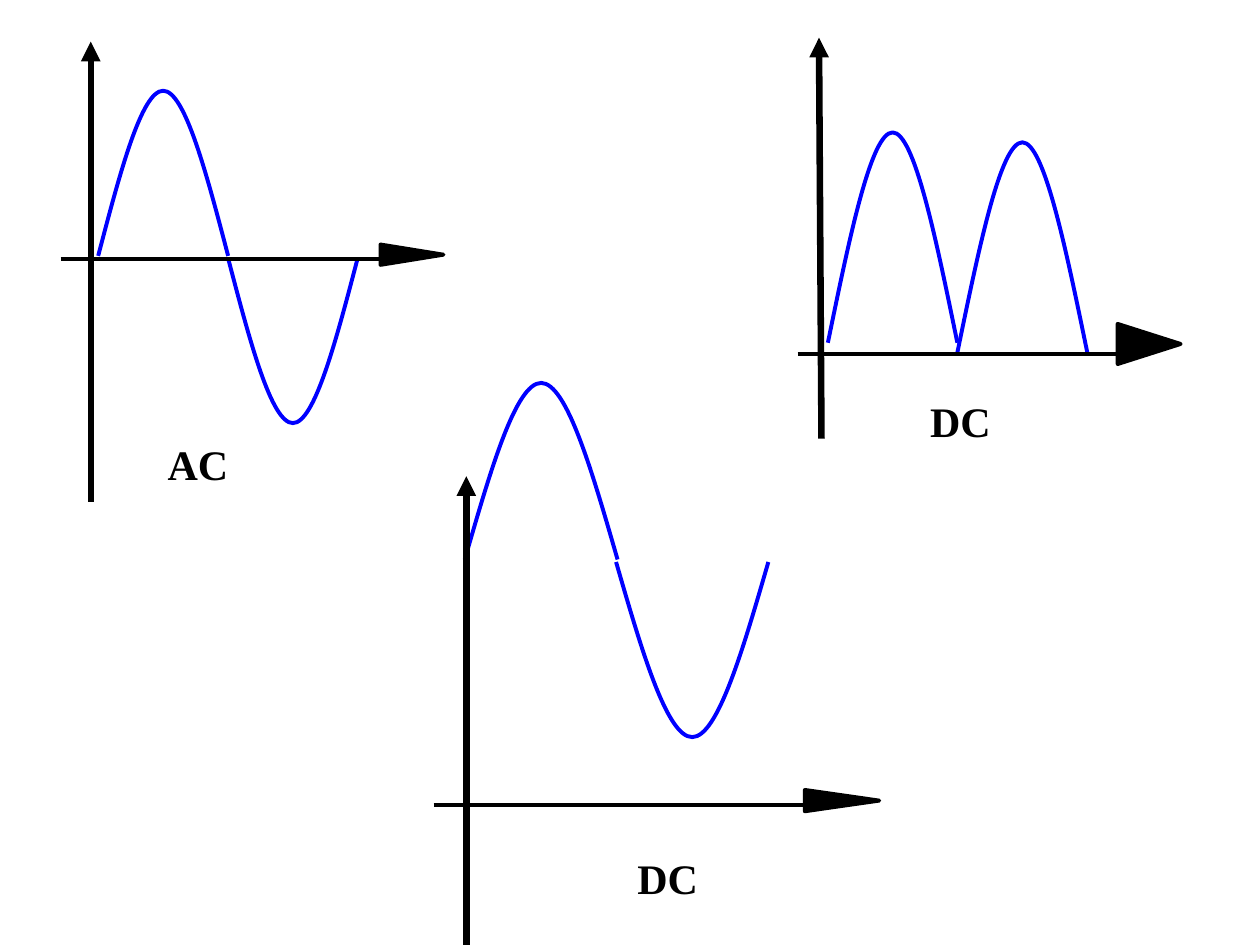
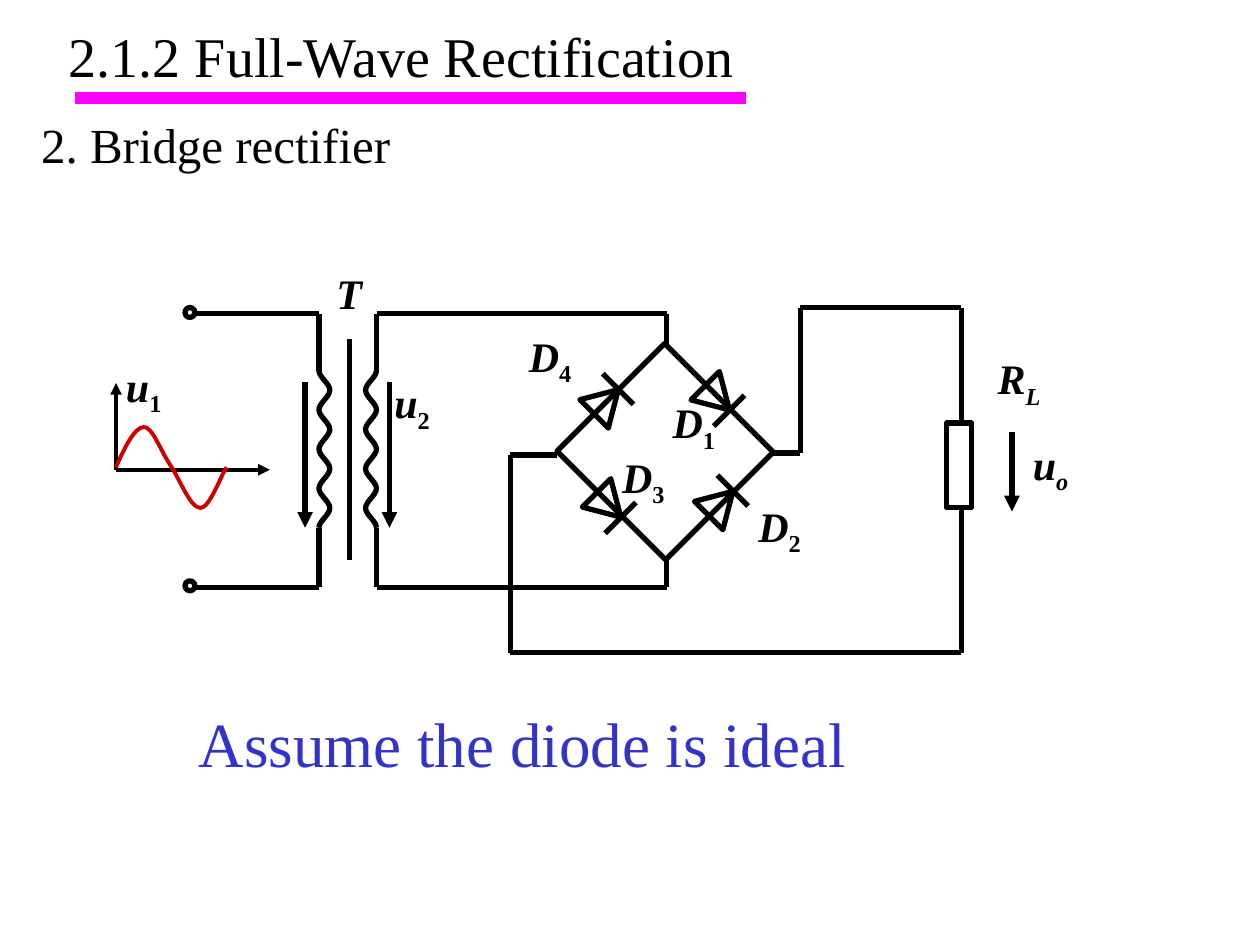
from itertools import pairwise

from lxml.etree import SubElement
from pptx import Presentation
from pptx.dml.color import RGBColor
from pptx.enum.shapes import MSO_CONNECTOR, MSO_SHAPE as SHAPE
from pptx.enum.text import MSO_ANCHOR, PP_ALIGN
from pptx.oxml.ns import qn
from pptx.util import Cm, Pt

FONT = "Times New Roman"
BLACK, BLUE, RED = "000000", "0000FF", "CC0000"
MAGENTA, VIOLET = "FF00FF", "3333CC"
rgb = RGBColor.from_string


def draw(slide, points, width, color=BLACK, arrow=False):
    """Draw a connector through two points, or a Bezier curve through more."""
    pts = [(Cm(x), Cm(y)) for x, y in points]
    if len(pts) == 2:
        sp = slide.shapes.add_connector(MSO_CONNECTOR.STRAIGHT, *pts[0], *pts[1])
        SubElement(sp._element.spPr, qn("a:effectLst"))
    else:
        builder = slide.shapes.build_freeform(*pts[0])
        builder.add_line_segments(pts[1:], close=False)
        sp = builder.convert_to_shape()
        sp.shadow.inherit = False
        sp.fill.background()
        # Every three straight segments become one cubic segment
        outline = sp._element.find(".//" + qn("a:path"))
        segments = outline.findall(qn("a:lnTo"))
        for i in range(0, len(segments), 3):
            cubic = SubElement(outline, qn("a:cubicBezTo"))
            for seg in segments[i:i + 3]:
                cubic.append(seg[0])
                outline.remove(seg)
    sp.line.width = Pt(width)
    sp.line.color.rgb = rgb(color)
    if arrow:
        SubElement(sp.line._get_or_add_ln(), qn("a:tailEnd"), type="triangle")


def label(slide, x, y, w, h, text, sub="", size=24, color=BLACK, bold=True, italic=True):
    """Add a text box with an optional subscript and return its text frame."""
    tf = slide.shapes.add_textbox(Cm(x), Cm(y), Cm(w), Cm(h)).text_frame
    tf.word_wrap = True
    p = tf.paragraphs[0]
    for part in filter(None, (text, sub)):
        r = p.add_run()
        r.text = part
        r.font.name, r.font.size = FONT, Pt(size)
        r.font.bold, r.font.italic = bold, italic
        r.font.color.rgb = rgb(color)
    if sub:
        r.font.italic = sub.isalpha()
        r.font._element.set("baseline", "-25000")
    return tf


prs = Presentation()
prs.slide_width, prs.slide_height = Cm(25.4), Cm(19.05)
waves, bridge = [prs.slides.add_slide(prs.slide_layouts[6]) for _ in range(2)]
shapes = []  # slide, preset, left, top, width, height, rotation, line width, fill

# Slide 1: AC and DC waveforms
half_waves = [  # start, end, base, peak
    (1.98, 4.6, 5.16, 1.83), (4.6, 7.21, 5.21, 8.53),
    (16.69, 19.3, 6.91, 2.67), (19.3, 21.92, 7.11, 2.87),
    (9.37, 12.45, 11.28, 7.72), (12.42, 15.49, 11.33, 14.86),
]
for start, end, base, peak in half_waves:
    half = (base + peak) / 2
    heights = [base, half, peak, peak, peak, half, base]
    step = (end - start) / 6
    draw(waves, [(start + i * step, y) for i, y in enumerate(heights)], 2.25, BLUE)

axes = [  # time axis, value axis, head of the time axis
    ([(1.22, 5.23), (7.7, 5.23)], [(1.83, 10.11), (1.83, 0.84)], (8.1, 4.5, 0.41, 1.27)),
    ([(16.08, 7.14), (22.56, 7.14)], [(16.56, 8.84), (16.51, 0.76)], (22.76, 6.3, 0.81, 1.27)),
    ([(8.74, 16.23), (16.28, 16.23)], [(9.4, 19.05), (9.4, 9.6)], (16.76, 15.39, 0.43, 1.5)),
]
for time_axis, value_axis, head in axes:
    draw(waves, time_axis, 2.25)
    draw(waves, value_axis, 3.75, arrow=True)
    shapes.append((waves, SHAPE.ISOSCELES_TRIANGLE, *head, 90, 2.25, BLACK))

for x, y, w, text in [(2.57, 8.71, 2.84, "AC"), (18.24, 7.85, 2.24, "DC"),
                      (12.34, 17.07, 2.24, "DC")]:
    tf = label(waves, x, y, w, 1.27, text, italic=False)
    tf.paragraphs[0].alignment = PP_ALIGN.CENTER

# Slide 2: bridge rectifier
draw(bridge, [(1.52, 1.98), (15.04, 1.98)], 7, MAGENTA)
tf = label(bridge, 1.14, 0.3, 14.91, 1.63, "2.1.2 Full-Wave Rectification",
           size=32, bold=False, italic=False)
tf.vertical_anchor = MSO_ANCHOR.MIDDLE
label(bridge, 0.58, 2.19, 14.43, 1.55, "2. Bridge rectifier",
      size=28, bold=False, italic=False)

wires = [
    [(3.96, 6.32), (6.43, 6.32), (6.43, 7.47)],
    [(3.96, 11.84), (6.43, 11.84), (6.43, 10.64)],
    [(7.04, 6.83), (7.04, 11.28)],
    [(7.59, 7.47), (7.59, 6.32), (13.44, 6.32), (13.44, 6.93)],
    [(7.59, 10.64), (7.59, 11.84), (13.44, 11.84), (13.44, 11.28)],
    [(15.57, 9.13), (16.13, 9.13), (16.13, 6.2), (19.38, 6.2), (19.38, 8.48)],
    [(11.23, 9.17), (10.29, 9.17), (10.29, 13.16), (19.38, 13.16), (19.38, 10.26)],
]
for wire in wires:
    for ends in pairwise(wire):
        draw(bridge, ends, 3)

# Transformer windings
turn_height = (10.64 - 7.47) / 8
for outer, inner in [(6.43, 6.65), (7.59, 7.37)]:
    coil = [(outer, 7.47)]
    for i in range(8):
        x1, x2 = (outer, inner) if i % 2 == 0 else (inner, outer)
        coil += [(x, 7.47 + (i + k / 3) * turn_height)
                 for k, x in enumerate((x1, x2, x2), 1)]
    draw(bridge, coil, 3)

# Input signal and voltage arrows
for tip in [(2.34, 7.72), (5.44, 9.47)]:
    draw(bridge, [(2.34, 9.47), tip], 2.25, arrow=True)
draw(bridge, [(2.34, 9.42), (2.51, 9.02), (2.72, 8.61), (2.9, 8.61),
              (3.07, 8.59), (3.25, 9.12), (3.45, 9.4),
              (3.63, 9.68), (3.84, 10.24), (4.04, 10.24),
              (4.22, 10.26), (4.47, 9.55), (4.57, 9.42)], 2.25, RED)
for x, top, bottom in [(6.15, 7.7, 10.64), (7.85, 7.7, 10.64), (20.4, 8.71, 10.31)]:
    draw(bridge, [(x, top), (x, bottom)], 3, arrow=True)

# Terminals, load resistor, bridge and its diodes
for y in (6.2, 11.71):
    shapes.append((bridge, SHAPE.OVAL, 3.73, y, 0.2, 0.2, 0, 3, None))
shapes.append((bridge, SHAPE.RECTANGLE, 19.08, 8.53, 0.51, 1.7, 0, 3, None))
shapes.append((bridge, SHAPE.RECTANGLE, 11.86, 7.57, 3.1, 3.07, 45, 3, None))
for x, y, angle in [(12.22, 8.1, 45), (14.53, 10.15, 45),
                    (14.46, 8.02, 135), (12.27, 10.18, 135)]:
    shapes.append((bridge, SHAPE.ISOSCELES_TRIANGLE, x - 0.405, y - 0.345,
                   0.81, 0.69, angle, 3, None))
    side = 1 if angle == 45 else -1
    tip_x, tip_y = x + 0.24, y - 0.26 * side
    draw(bridge, [(tip_x - 0.31, tip_y - 0.31 * side),
                  (tip_x + 0.31, tip_y + 0.31 * side)], 3)

for x, y, w, text, sub in [
    (2.29, 7.14, 1.55, "u", "1"), (7.7, 7.47, 1.55, "u", "2"), (6.53, 5.26, 1.02, "T", ""),
    (10.41, 6.53, 1.55, "D", "4"), (15.04, 9.96, 1.55, "D", "2"),
    (13.31, 7.87, 1.55, "D", "1"), (12.29, 8.97, 1.55, "D", "3"),
    (19.86, 6.99, 2.82, "R", "L"), (20.57, 8.71, 2.06, "u", "o"),
]:
    label(bridge, x, y, w, 1.42, text, sub)
label(bridge, 3.76, 14.07, 16.64, 1.78, "Assume the diode is ideal",
      size=36, color=VIOLET, bold=False, italic=False)

for slide, preset, x, y, w, h, angle, width, fill in shapes:
    sp = slide.shapes.add_shape(preset, Cm(x), Cm(y), Cm(w), Cm(h))
    sp.rotation = angle
    sp.shadow.inherit = False
    sp.line.width = Pt(width)
    sp.line.color.rgb = rgb(BLACK)
    if fill:
        sp.fill.solid()
        sp.fill.fore_color.rgb = rgb(fill)
    else:
        sp.fill.background()

prs.save("out.pptx")
